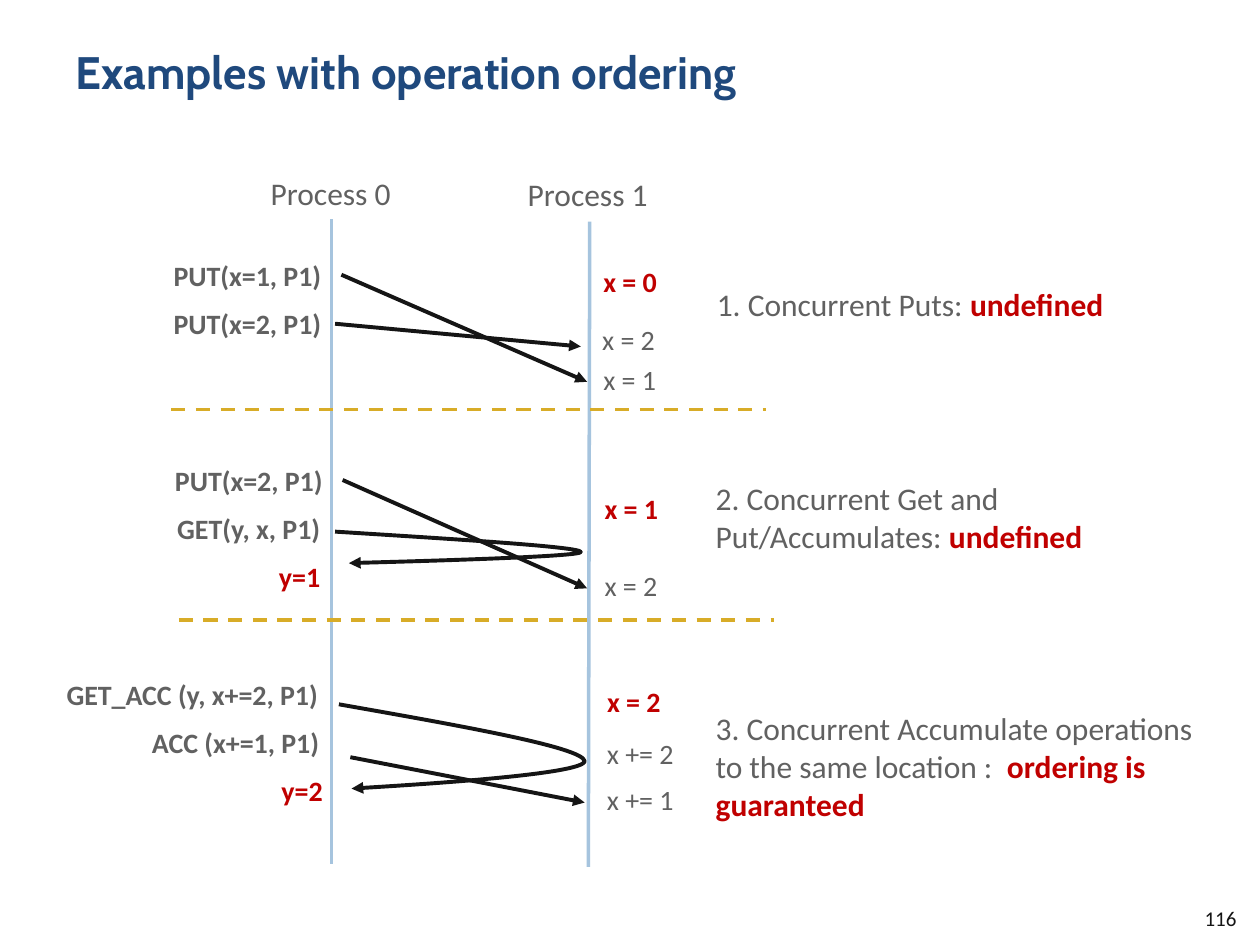
from dataclasses import dataclass
from typing import Optional

import pptx
import pptx.dml.color
import pptx.enum.dml
import pptx.enum.shapes
import pptx.enum.text
import pptx.oxml
import pptx.oxml.ns
import pptx.util
from lxml import etree

Pt = pptx.util.Pt
RGBColor = pptx.dml.color.RGBColor
ALIGN = pptx.enum.text.PP_ALIGN
ANCHOR = pptx.enum.text.MSO_ANCHOR

NAVY = RGBColor(0x1F, 0x49, 0x7D)
GREY = RGBColor(0x61, 0x61, 0x61)
RED = RGBColor(0xC0, 0x00, 0x00)
BLACK = RGBColor(0x15, 0x15, 0x15)
BLUE = RGBColor(0xA6, 0xC4, 0xDE)
GOLD = RGBColor(0xD8, 0xAC, 0x28)

Point = tuple[float, float]


@dataclass
class Span:
    text: str
    color: RGBColor = GREY
    bold: bool = False


@dataclass
class Label:
    spans: list[Span]
    left: float
    top: float
    width: float
    height: float = 26.6
    size: float = 16
    align: ALIGN = ALIGN.LEFT
    wrap: bool = False


@dataclass
class Line:
    start: Point
    end: Point
    color: RGBColor = BLACK
    width: float = 2.25
    dashed: bool = False
    arrow: bool = False


@dataclass
class Case:
    labels: list[Label]
    arrows: list[Line]
    round_trip: Optional[list[Point]] = None


def operation(text: str, left: float, top: float, width: float) -> Label:
    return Label([Span(text, GREY, True)], left, top, width, align=ALIGN.CENTER)


def fetched(text: str, left: float, top: float) -> Label:
    return Label([Span(text, RED, True)], left, top, 39.6, align=ALIGN.RIGHT)


def initial(text: str, left: float, top: float) -> Label:
    return Label([Span(text, RED, True)], left, top, 54, wrap=True)


def updated(text: str, left: float, top: float, width: float = 45.4) -> Label:
    return Label([Span(text)], left, top, width)


def conclusion(text: str, verdict: str, left: float, top: float,
               width: float, height: float) -> Label:
    return Label([Span(text), Span(verdict, RED, True)],
                 left, top, width, height, 18, wrap=True)


def arrow(start: Point, end: Point) -> Line:
    return Line(start, end, arrow=True)


def style_run(run, size: float, color: RGBColor, bold: bool = False,
              font: str = "Calibri") -> None:
    run.font.name = font
    run.font.size = Pt(size)
    run.font.bold = bold
    run.font.color.rgb = color


def add_label(page, label: Label):
    box = page.shapes.add_textbox(
        Pt(label.left), Pt(label.top), Pt(label.width), Pt(label.height))
    box.text_frame.word_wrap = label.wrap
    para = box.text_frame.paragraphs[0]
    para.alignment = label.align
    for span in label.spans:
        run = para.add_run()
        run.text = span.text
        style_run(run, label.size, span.color, span.bold)
    return box


def add_arrowhead(shape) -> None:
    outline = shape.line._get_or_add_ln()
    etree.SubElement(outline, pptx.oxml.ns.qn("a:tailEnd"), type="triangle")


def add_line(page, line: Line) -> None:
    connector = page.shapes.add_connector(
        pptx.enum.shapes.MSO_CONNECTOR.STRAIGHT,
        *(Pt(value) for value in line.start + line.end))
    connector.line.color.rgb = line.color
    connector.line.width = Pt(line.width)
    if line.dashed:
        connector.line.dash_style = pptx.enum.dml.MSO_LINE.DASH
    if line.arrow:
        add_arrowhead(connector)
    etree.SubElement(connector._element.spPr, pptx.oxml.ns.qn("a:effectLst"))


def add_curve(page, points: list[Point]) -> None:
    """Draw a start point followed by groups of three Bézier points."""
    corners = [(Pt(x), Pt(y)) for x, y in points]
    builder = page.shapes.build_freeform(*corners[0], scale=1.0)
    builder.add_line_segments(corners[1:], close=False)
    curve = builder.convert_to_shape()
    qn = pptx.oxml.ns.qn
    segments = list(curve._element.iter(qn("a:lnTo")))
    outline = segments[0].getparent()
    for first in range(0, len(segments), 3):
        bezier = etree.SubElement(outline, qn("a:cubicBezTo"))
        for segment in segments[first:first + 3]:
            bezier.append(segment[0])
            outline.remove(segment)
    curve.shadow.inherit = False
    curve.fill.background()
    curve.line.color.rgb = BLACK
    curve.line.width = Pt(2.25)
    add_arrowhead(curve)


CASES = [
    Case([operation("PUT(x=1, P1)", 91.4, 144, 100),
          operation("PUT(x=2, P1)", 91.4, 171.4, 100),
          initial("x = 0", 337.7, 147.6),
          updated("x = 2", 337, 180.9),
          updated("x = 1", 337.7, 203.8)],
         [arrow((195.1, 157), (335.5, 218.2)),
          arrow((191.5, 185), (331.9, 198))]),
    Case([operation("PUT(x=2, P1)", 92.2, 261.4, 100),
          operation("GET(y, x, P1)", 92.9, 288.7, 98.6),
          fetched("y=1", 150.5, 316.1),
          initial("x = 1", 338.4, 277.2),
          updated("x = 2", 338.4, 321.1)],
         [arrow((195.8, 274.3), (335.5, 336.2))],
         [(191.5, 303.8), (261.4, 308.2), (331.2, 312.5), (331.9, 315.4),
          (333.4, 318.2), (199.4, 321.8), (199.4, 321.8)]),
    Case([operation("GET_ACC (y, x+=2, P1)", 27.4, 383.8, 164.9),
          operation("ACC (x+=1, P1)", 78.5, 411.1, 112.3),
          fetched("y=2 ", 151.9, 438.5),
          initial("x = 2", 339.8, 387.4),
          updated("x += 2", 339.8, 417.6, 53.3),
          updated("x += 1", 339.8, 443.5, 53.3)],
         [arrow((200.2, 432.7), (334.1, 458.6))],
         [(193.7, 402.5), (262.8, 414.7), (332.6, 427), (334.1, 434.9),
          (334.8, 442.8), (200.9, 450.7), (200.9, 450.7)]),
]

GUIDES = [
    Line((189.4, 125.3), (189.4, 493.9), BLUE, 2),
    Line((337, 126.7), (336.2, 495.4), BLUE, 2),
    Line((97.9, 234), (437.8, 234), GOLD, 2, dashed=True),
    Line((102.2, 354.2), (442.1, 354.2), GOLD, 2, dashed=True),
]

TEXTS = [
    Label([Span("Process 0")], 147.6, 95.8, 84.2, 28.8, 18),
    Label([Span("Process 1")], 294.5, 96.5, 84.2, 28.8, 18),
    conclusion("1. Concurrent Puts: ", "undefined", 402.5, 159.1, 286.6, 28.8),
    conclusion("2. Concurrent Get and Put/Accumulates: ", "undefined",
               401.8, 270, 286.6, 51.1),
    conclusion("3. Concurrent Accumulate operations to the same location : ",
               " ordering is guaranteed", 401.8, 401.8, 306, 72.7),
]


def main() -> None:
    deck = pptx.Presentation()
    deck.slide_width, deck.slide_height = Pt(720), Pt(540)
    page = deck.slides.add_slide(deck.slide_layouts[5])

    title = page.shapes.title
    title.left, title.top, title.width, title.height = map(Pt, (36, 21.6, 648, 62.6))
    frame = title.text_frame
    frame.text = "Examples with operation ordering"
    frame.auto_size = pptx.enum.text.MSO_AUTO_SIZE.NONE
    frame.vertical_anchor = ANCHOR.TOP
    frame.paragraphs[0].alignment = ALIGN.LEFT
    style_run(frame.paragraphs[0].runs[0], 26, NAVY, True, "Cabin")

    for guide in GUIDES:
        add_line(page, guide)
    for case in CASES:
        for line in case.arrows:
            add_line(page, line)
        if case.round_trip:
            add_curve(page, case.round_trip)
    for label in TEXTS + [label for case in CASES for label in case.labels]:
        add_label(page, label)

    number = add_label(page, Label([Span("116", BLACK)], 635.8, 514.8, 77.8, 19.4,
                                   12, ALIGN.RIGHT, True))
    number.text_frame.vertical_anchor = ANCHOR.MIDDLE
    deck.save("out.pptx")


if __name__ == "__main__":
    main()
